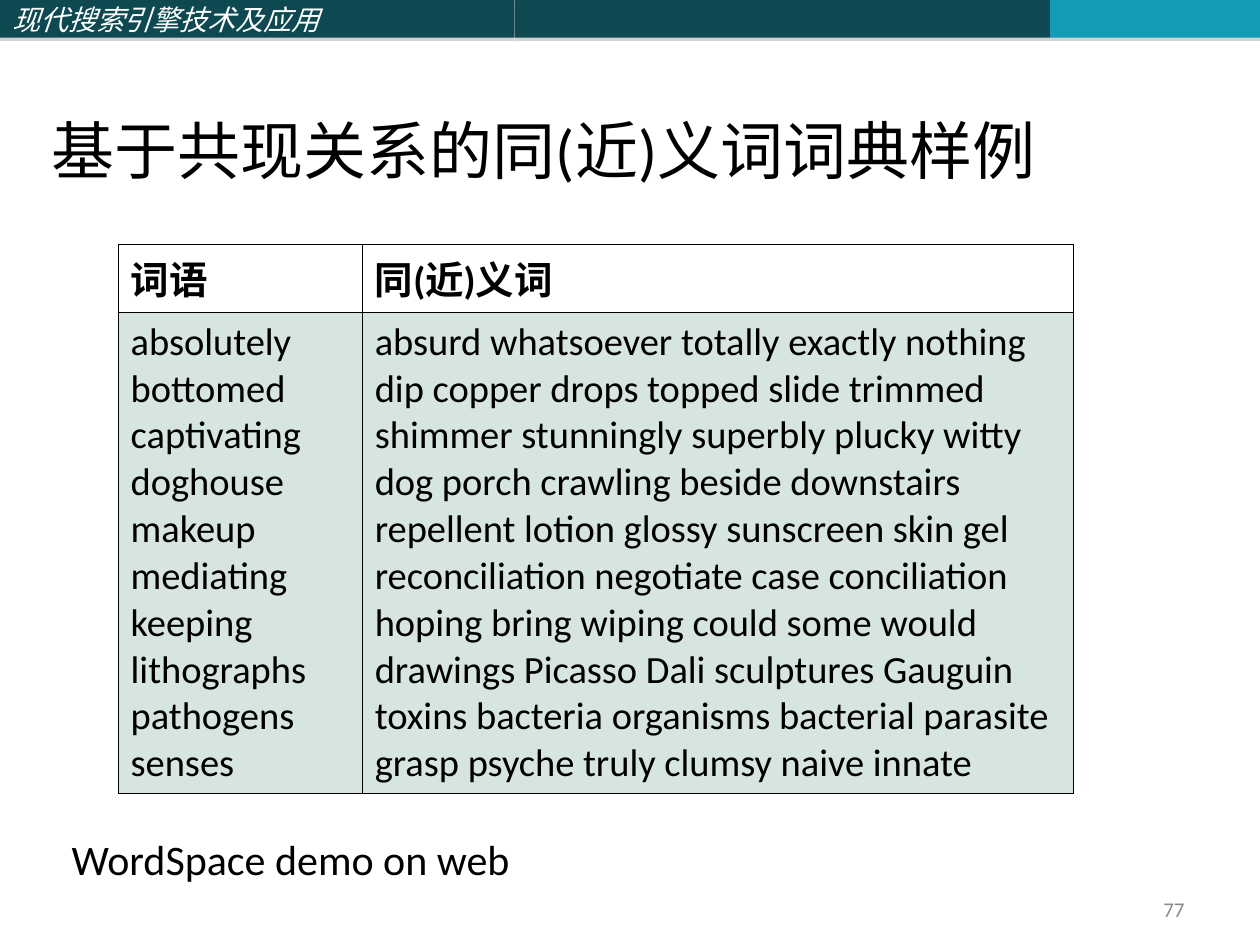
from lxml.etree import SubElement
from pptx import Presentation
from pptx.dml.color import RGBColor
from pptx.enum.shapes import MSO_SHAPE
from pptx.enum.text import MSO_ANCHOR, MSO_AUTO_SIZE, PP_ALIGN
from pptx.oxml import parse_xml
from pptx.oxml.ns import nsdecls, qn
from pptx.util import Pt

COLOURS = {
    "ink": "000000",
    "white": "FFFFFF",
    "band": "0E4851",
    "accent": "139CB7",
    "entry": "357E69",
    "page": "898989",
    "shadow": "808080",
}

SYNONYMS = {
    "absolutely": "absurd whatsoever totally exactly nothing",
    "bottomed": "dip copper drops topped slide trimmed",
    "captivating": "shimmer stunningly superbly plucky witty",
    "doghouse": "dog porch crawling beside downstairs",
    "makeup": "repellent lotion glossy sunscreen skin gel",
    "mediating": "reconciliation negotiate case conciliation",
    "keeping": "hoping bring wiping could some would",
    "lithographs": "drawings Picasso Dali sculptures Gauguin",
    "pathogens": "toxins bacteria organisms bacterial parasite",
    "senses": "grasp psyche truly clumsy naive innate",
}


def colour(name):
    return RGBColor.from_string(COLOURS[name])


class SlideBuilder:
    """Holds the text style and the slide being filled."""

    def __init__(self, slide, font="Calibri"):
        self.slide = slide
        self.font = font

    def set_text(self, frame, lines, size, ink="ink", align=PP_ALIGN.LEFT, **formats):
        frame.text = "\n".join(lines)
        formats = {"name": self.font, "size": Pt(size), **formats}
        for paragraph in frame.paragraphs:
            paragraph.alignment = align
            paragraph.space_before = Pt(0)
            for run in paragraph.runs:
                for key, value in formats.items():
                    setattr(run.font, key, value)
                run.font.color.rgb = colour(ink)

    def set_frame(self, frame, anchor):
        settings = {"word_wrap": True, "auto_size": MSO_AUTO_SIZE.NONE,
                    "vertical_anchor": anchor}
        for key, value in settings.items():
            setattr(frame, key, value)

    def placeholder(self, index, box, text, size, anchor):
        holder = self.slide.placeholders[index]
        for key, value in zip(("left", "top", "width", "height"), box):
            setattr(holder, key, Pt(value))
        self.set_frame(holder.text_frame, anchor)
        self.set_text(holder.text_frame, [text], size)
        return holder

    def plain_body(self, *args):
        """Fill the body placeholder with a line that has no bullet or indent."""
        body = self.placeholder(1, *args)
        properties = body.text_frame.paragraphs[0]._p.get_or_add_pPr()
        properties.set("marL", "0")
        properties.set("indent", "0")
        SubElement(properties, qn("a:buNone"))

    def band(self, left, width, fill, height=21.6):
        bar = self.slide.shapes.add_shape(
            MSO_SHAPE.RECTANGLE, Pt(left), Pt(0), Pt(width), Pt(height))
        bar.fill.solid()
        bar.fill.fore_color.rgb = colour(fill)
        bar.line.fill.background()
        bar._element.spPr.append(parse_xml(
            f'<a:effectLst {nsdecls("a")}>'
            f'<a:outerShdw dist="{Pt(1.8)}" dir="5400000" rotWithShape="0">'
            f'<a:srgbClr val="{COLOURS["shadow"]}"><a:alpha val="35000"/></a:srgbClr>'
            '</a:outerShdw></a:effectLst>'))
        self.set_frame(bar.text_frame, MSO_ANCHOR.MIDDLE)
        return bar

    def page_number(self, box, number):
        label = self.slide.shapes.add_textbox(*map(Pt, box))
        self.set_frame(label.text_frame, MSO_ANCHOR.MIDDLE)
        self.set_text(label.text_frame, [number], 12, "page", PP_ALIGN.RIGHT)

    def border(self, cell, width=0.45):
        properties = cell._tc.get_or_add_tcPr()
        for position, side in enumerate(("lnL", "lnR", "lnT", "lnB")):
            properties.insert(position, parse_xml(
                f'<a:{side} {nsdecls("a")} w="{Pt(width)}"><a:solidFill>'
                f'<a:srgbClr val="{COLOURS["ink"]}"/></a:solidFill></a:{side}>'))

    def tint(self, cell, fill, percent):
        cell.fill.solid()
        cell.fill.fore_color.rgb = colour(fill)
        swatch = cell._tc.tcPr.find(".//" + qn("a:srgbClr"))
        SubElement(swatch, qn("a:alpha")).set("val", str(percent * 1000))

    def table(self, left, top, widths, heights, rows):
        grid = self.slide.shapes.add_table(
            len(heights), len(widths), Pt(left), Pt(top),
            Pt(sum(widths)), Pt(sum(heights))).table
        grid.first_row = grid.horz_banding = False
        for column, width in zip(grid.columns, widths):
            column.width = Pt(width)
        for row, height in zip(grid.rows, heights):
            row.height = Pt(height)
        for r, row in enumerate(rows):
            for c, lines in enumerate(row):
                cell = grid.cell(r, c)
                self.set_text(cell.text_frame, lines, 22, bold=r == 0)
                if r == 0:
                    cell.fill.background()
                else:
                    self.tint(cell, "entry", 20)
                self.border(cell)


def main():
    deck = Presentation()
    deck.slide_width, deck.slide_height = Pt(720), Pt(540)
    builder = SlideBuilder(deck.slides.add_slide(deck.slide_layouts[1]))

    course = builder.band(0, 294, "band")
    builder.set_text(course.text_frame, ["现代搜索引擎技术及应用"], 16, "white", italic=True)
    builder.band(294, 306, "band")
    builder.band(600, 120, "accent")

    builder.placeholder(0, (22.5, 0.75, 675, 110), "基于共现关系的同(近)义词词典样例",
                        36, MSO_ANCHOR.BOTTOM)
    builder.plain_body((33.75, 472.5, 652.5, 56), "WordSpace demo on web",
                       24, MSO_ANCHOR.TOP)
    builder.page_number((516, 510, 168, 19.5), "77")
    builder.table(67.5, 139.5, (139.5, 406.25), (33.75, 271.25),
                  ((["词语"], ["同(近)义词"]),
                   (list(SYNONYMS), list(SYNONYMS.values()))))

    deck.save("out.pptx")


if __name__ == "__main__":
    main()
